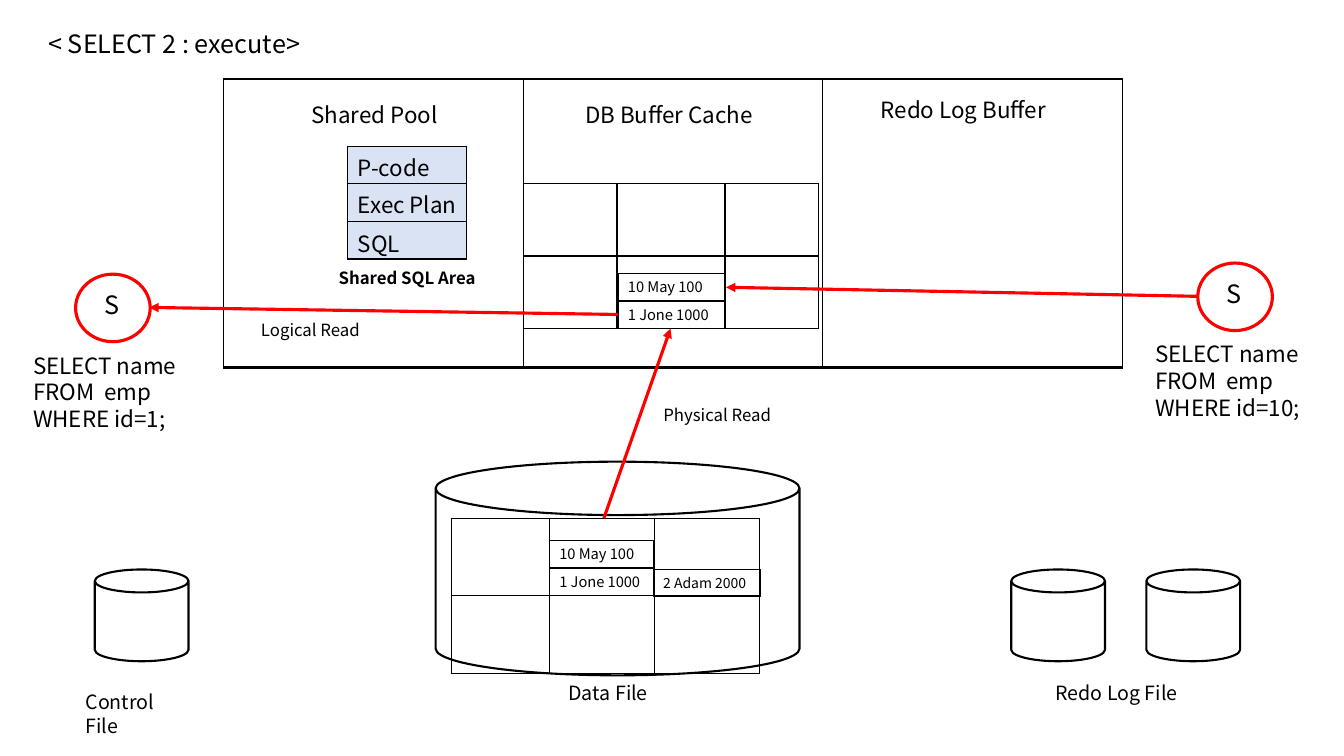
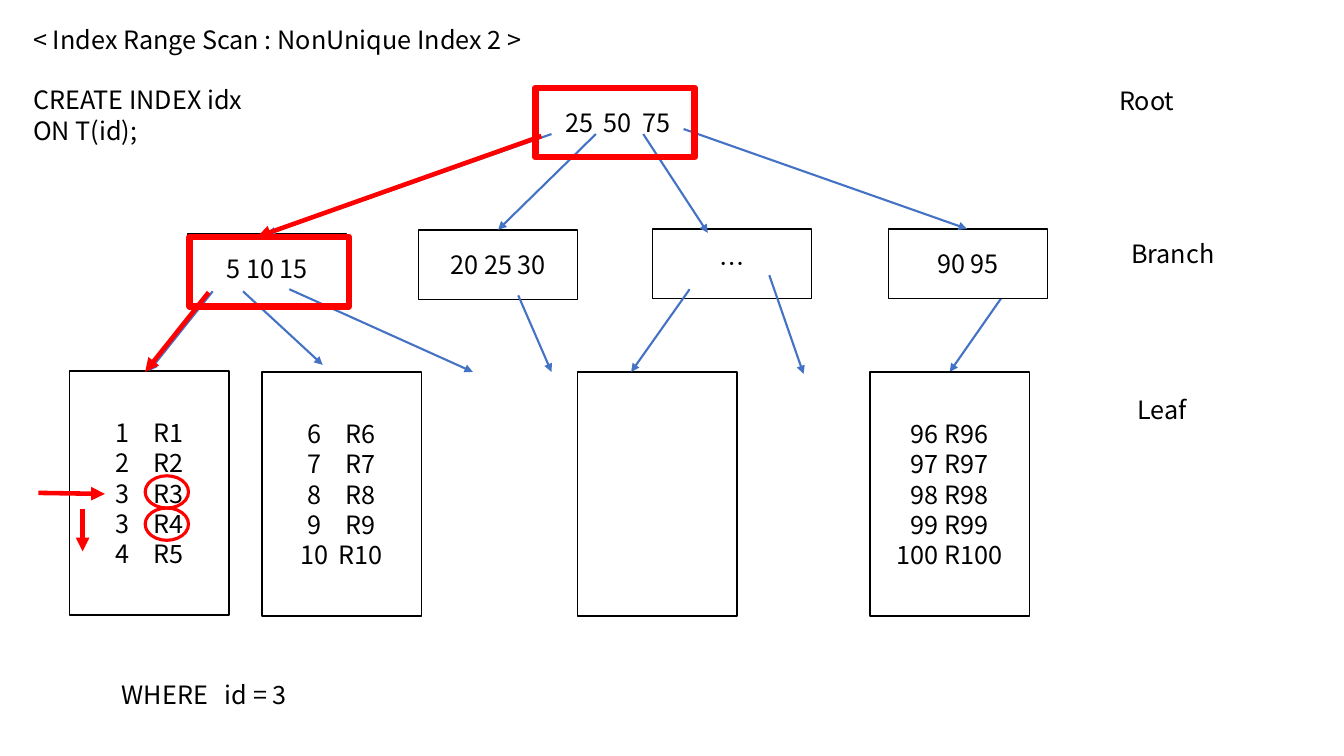
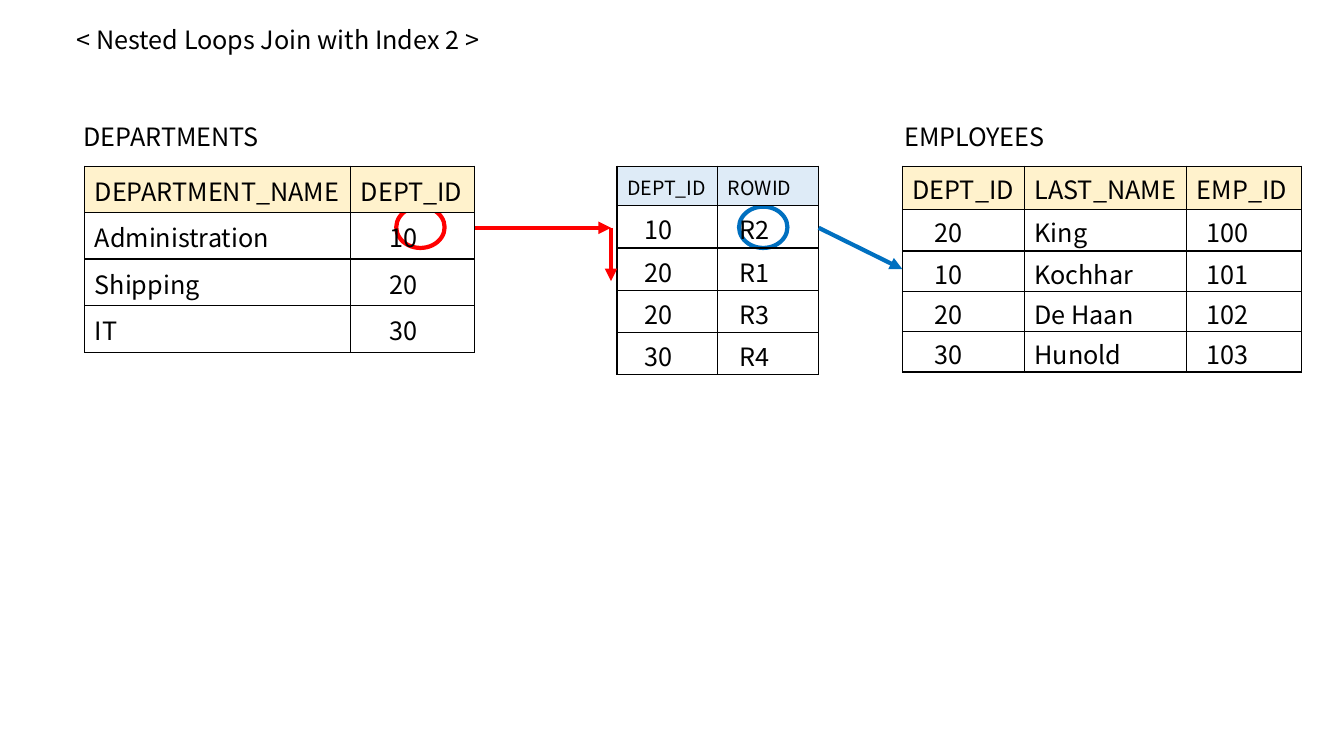
"""Build three database diagrams: SELECT execution, index range scan, nested loops join."""
from dataclasses import dataclass

from lxml import etree
from pptx import Presentation
from pptx.dml.color import RGBColor
from pptx.enum.shapes import MSO_CONNECTOR, MSO_SHAPE
from pptx.enum.text import MSO_ANCHOR, MSO_AUTO_SIZE, PP_ALIGN
from pptx.oxml.ns import qn
from pptx.util import Inches, Pt

CAN, OVAL, RECT = MSO_SHAPE.CAN, MSO_SHAPE.OVAL, MSO_SHAPE.RECTANGLE
LEFT, CENTER = PP_ALIGN.LEFT, PP_ALIGN.CENTER
TOP, MIDDLE = MSO_ANCHOR.TOP, MSO_ANCHOR.MIDDLE
STRAIGHT = MSO_CONNECTOR.STRAIGHT
TITLE_ONLY = 5


@dataclass(frozen=True)
class Theme:
    font: str = "Noto Sans CJK KR"
    ink: str = "000000"
    paper: str = "FFFFFF"
    red: str = "FF0000"
    link: str = "4472C4"
    blue: str = "0070C0"
    sql_fill: str = "DAE3F3"
    table_head: str = "FFF2CC"
    index_head: str = "DEEBF7"
    body: float = 18
    code: float = 16
    label: float = 14
    note: float = 12
    record: float = 10.5
    small_record: float = 10
    leading: float = 1.2


THEME = Theme()
INSETS = (0.1, 0.05, 0.1, 0.05)
CELL_TOP = 0.1

EXECUTE = {
    "title": ("< SELECT 2 : execute>", 0.38, 0.23, 3.56),
    "cans": [(0.94, 5.65, 0.93, 0.91), (4.32, 4.58, 3.61, 2.12),
             (10.03, 5.65, 0.93, 0.91), (11.37, 5.65, 0.93, 0.91)],
    "files": [("Control File", 0.75, 6.8, 1.24), ("Data File", 5.54, 6.71, 1.24),
              ("Redo Log File", 10.37, 6.71, 1.46)],
    "memory": [("Shared Pool", 2.49, 0.95), ("DB Buffer Cache", 5.41, 0.95),
               ("Redo Log Buffer", 8.33, 0.9)],
    "grids": [(2.22, 0.79, [2.97] * 3, [2.86]),
              (2.22, 0.78, [2.97] * 3, [2.86]),
              (4.48, 5.14, [0.97, 1.04, 1.04], [0.77] * 2),
              (5.19, 1.82, [0.93, 1.07, 0.93], [0.72] * 2)],
    "sql_area": ["P-code", "Exec Plan", "SQL"],
    "records": [("1 Jone 1000", 5.45, 5.63, 1.03, 0.28, THEME.record),
                ("2 Adam 2000", 6.48, 5.65, 1.06, 0.27, THEME.small_record),
                ("10 May 100", 5.45, 5.36, 1.03, 0.28, THEME.record),
                ("1 Jone 1000", 6.13, 2.98, 1.07, 0.28, THEME.record),
                ("10 May 100", 6.13, 2.71, 1.07, 0.28, THEME.record)],
    "notes": [("Shared SQL Area", 3.26, 2.61, True), ("Physical Read", 6.48, 3.97, False),
              ("Logical Read", 2.49, 3.12, False)],
    "sessions": [(0.75, 2.72, 0.23, "WHERE id=1;"), (11.88, 2.61, 11.36, "WHERE id=10;")],
    "reads": [(5.99, 5.14, 6.65, 3.26), (6.13, 3.12, 1.48, 3.05), (11.88, 2.94, 7.2, 2.85)],
}

NODE = (1.58, 0.69)
LEAF = (1.58, 2.42)
RANGE_SCAN = {
    "title": ("< Index Range Scan : NonUnique Index 2 >", 0.23, 0.19, 5.46),
    "root": ("25\t50\t75", 5.31, 0.87),
    "branches": [("5 10 15", 1.86, 2.32), ("20 25 30", 4.15, 2.28),
                 ("…", 6.47, 2.27), ("90 95", 8.81, 2.27)],
    "leaves": [
        (0.69, 3.68, ["R1", "R2", "R3", "R4", "R5"], [1, 1, 1, 3, 3]),
        (2.6, 3.69, ["R6", "R7", "R8", "R9", "R10"], [6] * 5),
        (5.73, 3.69, [], []),
        (8.63, 3.69, ["96 R96", "97 R97", "98 R98", "99 R99", "100 R100"], []),
    ],
    "levels": [("Root", 11, 0.8), ("Branch", 11.12, 2.32), ("Leaf", 11.18, 3.86)],
    "links_below": [(10.09, 2.73, 9.42, 3.69)],
    "links": [(5.47, 1.33, 2.65, 2.32), (5.91, 1.33, 4.94, 2.28), (6.38, 1.33, 7.02, 2.31),
              (6.78, 1.28, 9.59, 2.27), (2.11, 2.89, 1.48, 3.68), (2.41, 2.89, 3.2, 3.62),
              (2.87, 2.87, 4.69, 3.69), (5.14, 2.93, 5.47, 3.69), (6.84, 2.87, 6.26, 3.69),
              (7.63, 2.73, 7.97, 3.71)],
    "visited": [(5.31, 0.87), (1.88, 2.35)],
    "scan": [(5.37, 1.35, 2.55, 2.35), (2.07, 2.9, 1.44, 3.69),
             (0.38, 4.89, 1.04, 4.9), (0.82, 5.05, 0.82, 5.47)],
    "matches": [(1.44, 4.72), (1.44, 5.04)],
}

JOIN = {
    "title": ("< Nested Loops Join with Index 2 >", 0.66, 0.19, 6.67),
    "circles": [(7.33, 2.05, THEME.blue), (3.93, 2.05, THEME.red)],
    "names": [("DEPARTMENTS", 0.73), ("EMPLOYEES", 8.87)],
    "tables": [
        {"left": 0.84, "cols": [2.64, 1.23], "rows": [0.46, 0.46, 0.46, 0.47],
         "indents": [0.1, 0.38], "cell_top": 0.12,
         "head": THEME.table_head, "head_size": THEME.body,
         "cells": [("DEPARTMENT_NAME", "DEPT_ID"), ("Administration", "10"),
                   ("Shipping", "20"), ("IT", "30")]},
        {"left": 8.95, "cols": [1.21, 1.61, 1.14], "rows": [0.43, 0.41, 0.4, 0.4, 0.4],
         "indents": [0.32, 0.1, 0.2], "cell_top": 0.1,
         "head": THEME.table_head, "head_size": THEME.body,
         "cells": [("DEPT_ID", "LAST_NAME", "EMP_ID"), ("20", "King", "100"),
                   ("10", "Kochhar", "101"), ("20", "De Haan", "102"),
                   ("30", "Hunold", "103")]},
        {"left": 6.12, "cols": [1, 1], "rows": [0.39] + [0.42] * 4,
         "indents": [0.27, 0.21], "cell_top": 0.11,
         "head": THEME.index_head, "head_size": THEME.label,
         "cells": [("DEPT_ID", "ROWID"), ("10", "R2"), ("20", "R1"),
                   ("20", "R3"), ("30", "R4")]},
    ],
    "arrows": [(4.71, 2.26, 6.06, 2.26, THEME.red), (6.06, 2.26, 6.06, 2.79, THEME.red),
               (8.12, 2.26, 8.95, 2.67, THEME.blue)],
}


def color(value):
    return RGBColor.from_string(value)


def write(frame, lines, size, align=LEFT, bold=False, numbers=(), tabs=()):
    for index, line in enumerate(lines):
        para = frame.paragraphs[0] if index == 0 else frame.add_paragraph()
        para.alignment = align
        para.line_spacing = Pt(round(size * THEME.leading, 1))
        properties = para._p.get_or_add_pPr()
        if numbers:
            properties.set("marL", str(Inches(0.38)))
            properties.set("indent", str(-Inches(0.38)))
            etree.SubElement(properties, qn("a:buAutoNum"), type="arabicPlain",
                             startAt=str(numbers[index]))
        if tabs:
            stops = etree.SubElement(properties, qn("a:tabLst"))
            for stop in tabs:
                etree.SubElement(stops, qn("a:tab"), pos=str(Inches(stop)), algn="l")
        span = para.add_run()
        span.text = line
        span.font.size = Pt(size)
        span.font.bold = bold
        span.font.color.rgb = color(THEME.ink)
        span.font.name = THEME.font
        etree.SubElement(span._r.get_or_add_rPr(), qn("a:ea"), typeface=THEME.font)


def prepare(frame, anchor=TOP, insets=INSETS):
    frame.word_wrap = True
    frame.auto_size = MSO_AUTO_SIZE.NONE
    frame.vertical_anchor = anchor
    (frame.margin_left, frame.margin_top,
     frame.margin_right, frame.margin_bottom) = map(Inches, insets)
    return frame


def add_page(deck, title):
    text, left, top, width = title
    page = deck.slides.add_slide(deck.slide_layouts[TITLE_ONLY])
    box = page.shapes.title
    box.left, box.top, box.width, box.height = map(Inches, (left, top, width, 0.4))
    write(prepare(box.text_frame), [text], THEME.body)
    return page


def add_text(page, lines, left, top, width, size, align=LEFT, bold=False):
    height = round(len(lines) * size * THEME.leading / 72 + 0.1, 2)
    box = page.shapes.add_textbox(*map(Inches, (left, top, width, height)))
    write(prepare(box.text_frame), lines, size, align, bold)


def add_shape(page, kind, place, line, weight, fill=None):
    shape = page.shapes.add_shape(kind, *map(Inches, place))
    shape.shadow.inherit = False
    if fill:
        shape.fill.solid()
        shape.fill.fore_color.rgb = color(fill)
    else:
        shape.fill.background()
    shape.line.color.rgb = color(line)
    shape.line.width = Pt(weight)
    return shape


def add_block(page, place, lines, numbers=(), tabs=()):
    shape = add_shape(page, RECT, place, THEME.ink, 1, THEME.paper)
    insets = (0.3, *INSETS[1:]) if tabs else INSETS
    align = LEFT if tabs else CENTER
    write(prepare(shape.text_frame, MIDDLE, insets), lines, THEME.body, align,
          numbers=numbers, tabs=tabs)


def add_arrow(page, ends, line, weight):
    arrow = page.shapes.add_connector(STRAIGHT, *map(Inches, ends))
    arrow.line.color.rgb = color(line)
    arrow.line.width = Pt(weight)
    etree.SubElement(arrow.line._get_or_add_ln(), qn("a:tailEnd"), type="triangle")
    etree.SubElement(arrow._element.spPr, qn("a:effectLst"))


def add_borders(cell):
    properties = cell._tc.get_or_add_tcPr()
    for index, side in enumerate(("a:lnL", "a:lnR", "a:lnT", "a:lnB")):
        border = etree.Element(qn(side), w=str(Pt(1)))
        fill = etree.SubElement(border, qn("a:solidFill"))
        etree.SubElement(fill, qn("a:srgbClr"), val=THEME.ink)
        properties.insert(index, border)


def add_grid(page, left, top, cols, rows):
    frame = page.shapes.add_table(
        len(rows), len(cols), *map(Inches, (left, top, sum(cols), sum(rows))))
    table = frame.table
    table.first_row = table.horz_banding = False
    for column, width in zip(table.columns, cols):
        column.width = Inches(width)
    for row, height in zip(table.rows, rows):
        row.height = Inches(height)
    for cell in table.iter_cells():
        cell.fill.background()
        add_borders(cell)
    return table


def fill_cell(cell, text, size, indent=0.1, fill=None, top=CELL_TOP):
    cell.margin_left, cell.margin_right = Inches(indent), Inches(0.05)
    cell.margin_top, cell.margin_bottom = Inches(top), Inches(0)
    if fill:
        cell.fill.solid()
        cell.fill.fore_color.rgb = color(fill)
    write(cell.text_frame, [text], size)


def build_execute(deck):
    page = add_page(deck, EXECUTE["title"])
    for place in EXECUTE["cans"]:
        add_shape(page, CAN, place, THEME.ink, 1.5, THEME.paper)
    for text, left, top, width in EXECUTE["files"]:
        add_text(page, [text], left, top, width, THEME.label)
    for text, left, top in EXECUTE["memory"]:
        add_text(page, [text], left, top, 2.45, THEME.code, CENTER)
    for grid in EXECUTE["grids"]:
        add_grid(page, *grid)
    sql_area = add_grid(page, 3.45, 1.45, [1.18], [0.37, 0.38, 0.37])
    for cell, text in zip(sql_area.iter_cells(), EXECUTE["sql_area"]):
        fill_cell(cell, text, THEME.code, fill=THEME.sql_fill)
    for text, *place, size in EXECUTE["records"]:
        record = add_shape(page, RECT, place, THEME.ink, 0.75)
        write(prepare(record.text_frame), [text], size)
    for text, left, top, bold in EXECUTE["notes"]:
        add_text(page, [text], left, top, 1.69, THEME.note, bold=bold)
    for left, top, query_left, condition in EXECUTE["sessions"]:
        add_shape(page, OVAL, (left, top, 0.74, 0.67), THEME.red, 2.25, THEME.paper)
        add_text(page, ["S"], left + 0.19, top + 0.1, 0.44, THEME.body)
        add_text(page, ["SELECT name", "FROM  emp", condition],
                 query_left, top + 0.72, 1.9, THEME.code)
    for ends in EXECUTE["reads"]:
        add_arrow(page, ends, THEME.red, 2.25)


def build_range_scan(deck):
    page = add_page(deck, RANGE_SCAN["title"])
    add_text(page, ["CREATE INDEX idx", "ON T(id);"], 0.23, 0.79, 3, THEME.body)
    add_text(page, ["WHERE   id = 3"], 1.11, 6.69, 2.45, THEME.body)
    for text, left, top in RANGE_SCAN["levels"]:
        add_text(page, [text], left, top, 1.51, THEME.body)
    for ends in RANGE_SCAN["links_below"]:
        add_arrow(page, ends, THEME.link, 1.5)
    keys, left, top = RANGE_SCAN["root"]
    add_block(page, (left, top, *NODE), [keys], tabs=(0.38, 0.76))
    for keys, left, top in RANGE_SCAN["branches"]:
        add_block(page, (left, top, *NODE), [keys])
    for left, top, entries, numbers in RANGE_SCAN["leaves"]:
        add_block(page, (left, top, *LEAF), entries, numbers)
    for ends in RANGE_SCAN["links"]:
        add_arrow(page, ends, THEME.link, 1.5)
    for place in RANGE_SCAN["visited"]:
        add_shape(page, RECT, (*place, *NODE), THEME.red, 4.5)
    for ends in RANGE_SCAN["scan"]:
        add_arrow(page, ends, THEME.red, 3.25)
    for place in RANGE_SCAN["matches"]:
        add_shape(page, OVAL, (*place, 0.43, 0.32), THEME.red, 2.25)


def build_join(deck):
    page = add_page(deck, JOIN["title"])
    for left, top, line in JOIN["circles"]:
        add_shape(page, OVAL, (left, top, 0.48, 0.41), line, 3, THEME.paper)
    for text, left in JOIN["names"]:
        add_text(page, [text], left, 1.15, 3, THEME.body)
    for data in JOIN["tables"]:
        table = add_grid(page, data["left"], 1.65, data["cols"], data["rows"])
        for row, texts in enumerate(data["cells"]):
            for column, text in enumerate(texts):
                cell = table.cell(row, column)
                if row == 0:
                    fill_cell(cell, text, data["head_size"], fill=data["head"],
                              top=data["cell_top"])
                else:
                    fill_cell(cell, text, THEME.body, data["indents"][column],
                              top=data["cell_top"])
    for *ends, line in JOIN["arrows"]:
        add_arrow(page, ends, line, 3)


def main():
    deck = Presentation()
    deck.slide_width, deck.slide_height = Inches(13.33), Inches(7.5)
    build_execute(deck)
    build_range_scan(deck)
    build_join(deck)
    deck.save("out.pptx")


if __name__ == "__main__":
    main()
